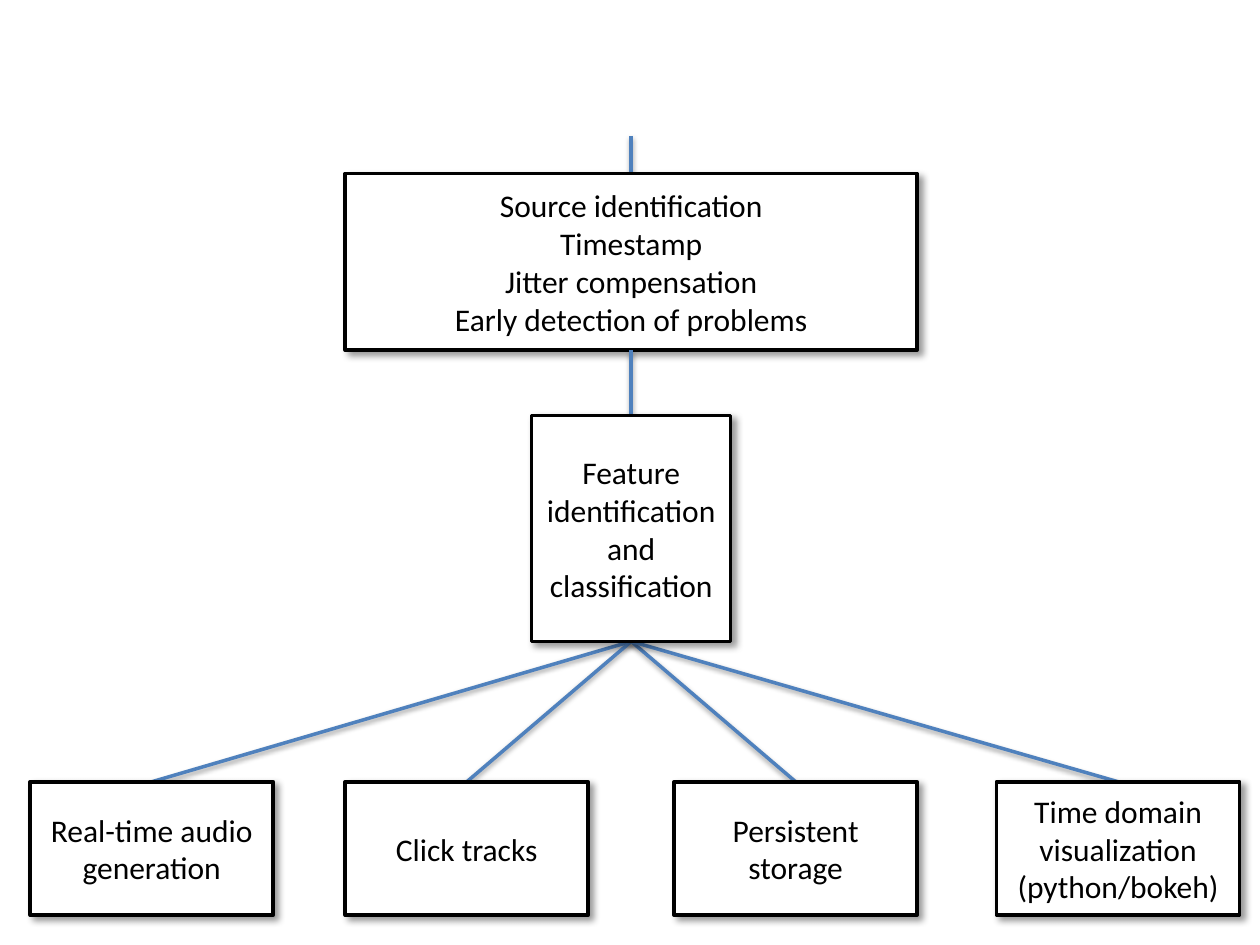
from lxml import etree
from pptx import Presentation
from pptx.dml.color import RGBColor
from pptx.enum.shapes import MSO_CONNECTOR, MSO_SHAPE
from pptx.enum.text import MSO_ANCHOR, PP_ALIGN
from pptx.oxml.ns import qn
from pptx.util import Cm, Pt

RECT = MSO_SHAPE.RECTANGLE
STRAIGHT = MSO_CONNECTOR.STRAIGHT
MIDDLE = MSO_ANCHOR.MIDDLE
CENTER = PP_ALIGN.CENTER

COLORS = {"fill": "FFFFFF", "ink": "000000", "link": "4F81BD"}
FONT = "Calibri"

# Lengths in cm: left, top, width, height
SOURCE = (6.96, 3.5, 11.53, 3.56)
FEATURE = (10.72, 8.38, 4.01, 4.55)
LEAF_TOP, LEAF_W, LEAF_H = 15.76, 4.9, 2.69
LEAVES = [
    (0.61, "Real-time audio generation"),
    (6.96, "Click tracks"),
    (13.59, "Persistent storage"),
    (20.09, "Time domain visualization (python/bokeh)"),
]
STEPS = [
    "Source identification",
    "Timestamp",
    "Jitter compensation",
    "Early detection of problems",
]


def color(name):
    return RGBColor.from_string(COLORS[name])


def shade(item, alpha, blur, dist, angle):
    """Give a shape or connector an outer shadow."""
    effects = etree.SubElement(item.element.spPr, qn("a:effectLst"))
    outer = etree.SubElement(
        effects, qn("a:outerShdw"), blurRad=str(Pt(blur)), dist=str(Pt(dist)),
        dir=str(angle * 60000), rotWithShape="0")
    tint = etree.SubElement(outer, qn("a:srgbClr"), val=COLORS["ink"])
    etree.SubElement(tint, qn("a:alpha"), val=str(alpha * 1000))


def stroke(item, name):
    item.line.color.rgb = color(name)
    item.line.width = Pt(2)


def add_link(slide, start, end):
    link = slide.shapes.add_connector(
        STRAIGHT, *(Cm(v) for v in (*start, *end)))
    stroke(link, "link")
    shade(link, 38, 3.1, 1.6, 90)


def add_box(slide, place, lines):
    box = slide.shapes.add_shape(RECT, *(Cm(v) for v in place))
    box.fill.solid()
    box.fill.fore_color.rgb = color("fill")
    stroke(box, "ink")
    shade(box, 40, 4, 3, 45)

    frame = box.text_frame
    frame.word_wrap = True
    frame.vertical_anchor = MIDDLE
    for i, line in enumerate(lines):
        para = frame.add_paragraph() if i else frame.paragraphs[0]
        para.alignment = CENTER
        run = para.add_run()
        run.text = line
        run.font.name = FONT
        run.font.size = Pt(18)
        run.font.color.rgb = color("ink")


def top(place):
    return place[0] + place[2] / 2, place[1]


def bottom(place):
    return place[0] + place[2] / 2, place[1] + place[3]


def main():
    deck = Presentation()
    deck.slide_width, deck.slide_height = Cm(25.4), Cm(19.05)
    slide = deck.slides.add_slide(deck.slide_layouts[6])
    leaves = [((left, LEAF_TOP, LEAF_W, LEAF_H), text)
              for left, text in LEAVES]

    # Incoming link and fan to the outputs
    mid, edge = top(SOURCE)
    add_link(slide, (mid, 2.74), (mid, edge))
    for place, _ in leaves:
        add_link(slide, bottom(FEATURE), top(place))

    # Main stages
    add_box(slide, SOURCE, STEPS)
    add_link(slide, bottom(SOURCE), top(FEATURE))
    add_box(slide, FEATURE, ["Feature identification and classification"])

    # Outputs
    for place, text in leaves:
        add_box(slide, place, [text])

    deck.save("out.pptx")


main()
